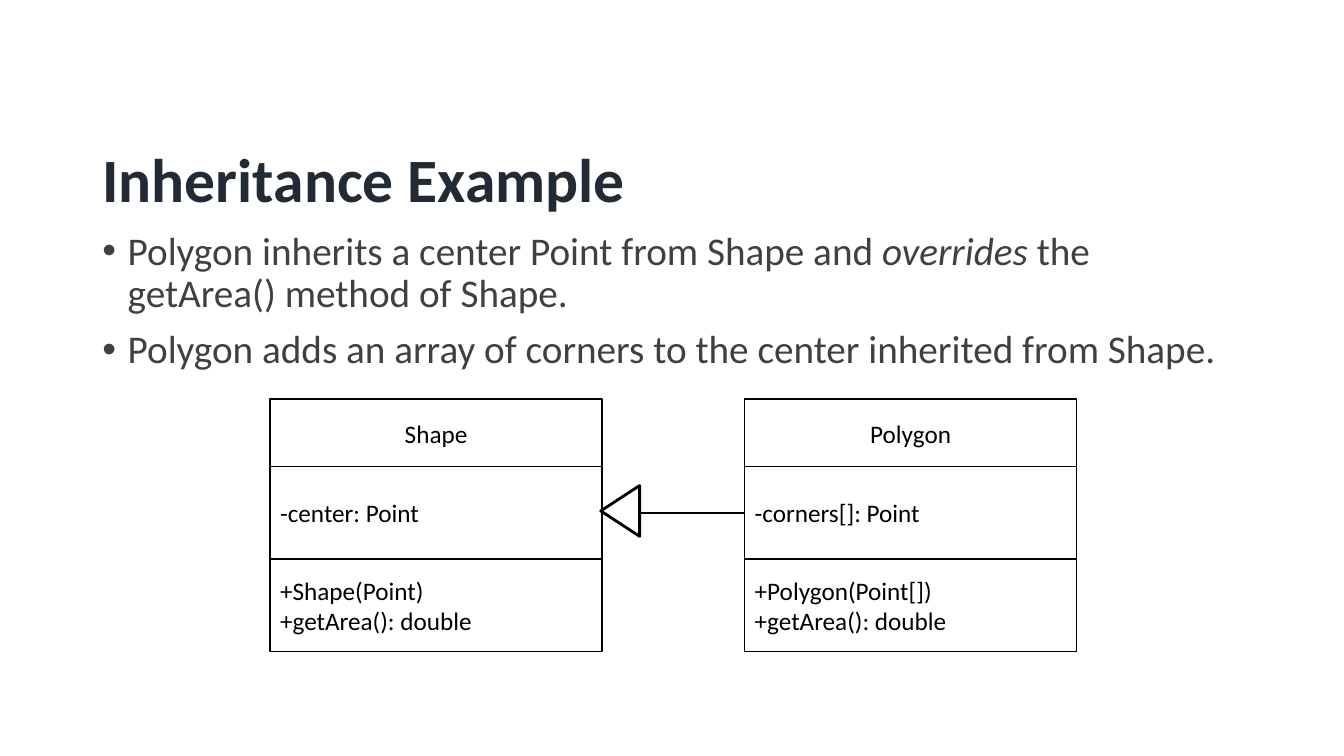
from lxml import etree
from pptx import Presentation
from pptx.dml.color import RGBColor
from pptx.enum.shapes import MSO_CONNECTOR as Connector, MSO_SHAPE as Preset
from pptx.enum.text import MSO_ANCHOR as Anchor, MSO_AUTO_SIZE as AutoSize, PP_ALIGN as Align
from pptx.oxml.ns import qn
from pptx.util import Cm, Pt

FONT = "Calibri"
BLACK, WHITE, NAVY, GRAY = "000000", "FFFFFF", "222A35", "404040"

BULLETS = [
    [("Polygon inherits a center Point from Shape and ", False),
     ("overrides", True),
     (" the getArea() method of Shape.", False)],
    [("Polygon adds an array of corners to the center inherited from Shape.", False)],
]
SHAPE_CLASS = ["Shape", "-center: Point", "+Shape(Point)\n+getArea(): double"]
POLYGON_CLASS = ["Polygon", "-corners[]: Point", "+Polygon(Point[])\n+getArea(): double"]
ROW_HEIGHTS = [Cm(1.7), Cm(2.33), Cm(2.33)]


def color(value):
    return RGBColor.from_string(value)


def style_font(font, size, value, bold=False):
    font.name = FONT
    font.size = Pt(size)
    font.bold = bold
    font.color.rgb = color(value)


def style_line(line, width):
    line.color.rgb = color(BLACK)
    line.width = Pt(width)


def add_title(slide, left, top, width, height):
    title = slide.shapes.title
    title.left, title.top, title.width, title.height = left, top, width, height
    frame = title.text_frame
    frame.text = "Inheritance Example"
    frame.auto_size = AutoSize.NONE
    frame.vertical_anchor = Anchor.TOP
    paragraph = frame.paragraphs[0]
    paragraph.alignment = Align.LEFT
    paragraph.line_spacing = 0.9
    style_font(paragraph.font, 44, NAVY, bold=True)


def add_bullets(slide, left, top, width, height):
    frame = slide.shapes.add_textbox(left, top, width, height).text_frame
    frame.word_wrap = True
    for index, runs in enumerate(BULLETS):
        paragraph = frame.paragraphs[0] if index == 0 else frame.add_paragraph()
        paragraph.line_spacing = 0.9
        paragraph.space_before = Pt(10 if index else 0)
        style_font(paragraph.font, 28, GRAY)
        for text, italic in runs:
            run = paragraph.add_run()
            run.text = text
            run.font.italic = italic
        # Hanging bullet
        properties = paragraph._p.get_or_add_pPr()
        properties.set("marL", str(Cm(0.64)))
        properties.set("indent", str(-Cm(0.64)))
        bullet_font = etree.Element(qn("a:buFont"), typeface="Arial")
        bullet = etree.Element(qn("a:buChar"), char="•")
        default_font = properties.find(qn("a:defRPr"))
        default_font.addprevious(bullet_font)
        default_font.addprevious(bullet)


def add_class_box(slide, left, top, width, texts):
    """Stack name, attributes and methods; return the attributes rectangle."""
    rows = []
    for text, height in zip(texts, ROW_HEIGHTS):
        row = slide.shapes.add_shape(Preset.RECTANGLE, left, top, width, height)
        row.shadow.inherit = False
        row.fill.background()
        style_line(row.line, 1)
        frame = row.text_frame
        frame.text = text
        frame.word_wrap = True
        frame.vertical_anchor = Anchor.MIDDLE
        for paragraph in frame.paragraphs:
            paragraph.alignment = Align.LEFT if rows else Align.CENTER
            style_font(paragraph.font, 18, BLACK)
        rows.append(row)
        top += height
    return rows[1]


def add_inheritance(slide, child, parent):
    """Join child to parent with a hollow arrowhead on the parent's side."""
    line = slide.shapes.add_connector(Connector.STRAIGHT, 0, 0, 0, 0)
    line.begin_connect(child, 1)
    line.end_connect(parent, 3)
    style_line(line.line, 2)
    etree.SubElement(line._element.spPr, qn("a:effectLst"))

    # Triangle turned to point left, with its tip on the parent
    base, depth = Cm(1.28), Cm(0.98)
    center_x = parent.left + parent.width + depth // 2 - Cm(0.03)
    center_y = parent.top + parent.height // 2 - Cm(0.05)
    head = slide.shapes.add_shape(Preset.ISOSCELES_TRIANGLE, center_x - base // 2,
                                  center_y - depth // 2, base, depth)
    head.rotation = 270
    head.shadow.inherit = False
    head.fill.solid()
    head.fill.fore_color.rgb = color(WHITE)
    style_line(head.line, 2)


def add_diagram(slide, left, top, width):
    box_width = Cm(8.36)
    parent = add_class_box(slide, left, top, box_width, SHAPE_CLASS)
    child = add_class_box(slide, left + width - box_width, top, box_width, POLYGON_CLASS)
    add_inheritance(slide, child, parent)


def main():
    presentation = Presentation()
    presentation.slide_width, presentation.slide_height = Cm(33.87), Cm(19.05)
    slide = presentation.slides.add_slide(presentation.slide_layouts[5])
    margin, content_width = Cm(2.33), Cm(29.21)
    add_title(slide, margin, Cm(3.63), content_width, Cm(1.7))
    add_bullets(slide, margin, Cm(5.7), content_width, Cm(12.1))
    add_diagram(slide, Cm(6.81), Cm(10.06), Cm(20.32))
    presentation.save("out.pptx")


if __name__ == "__main__":
    main()
